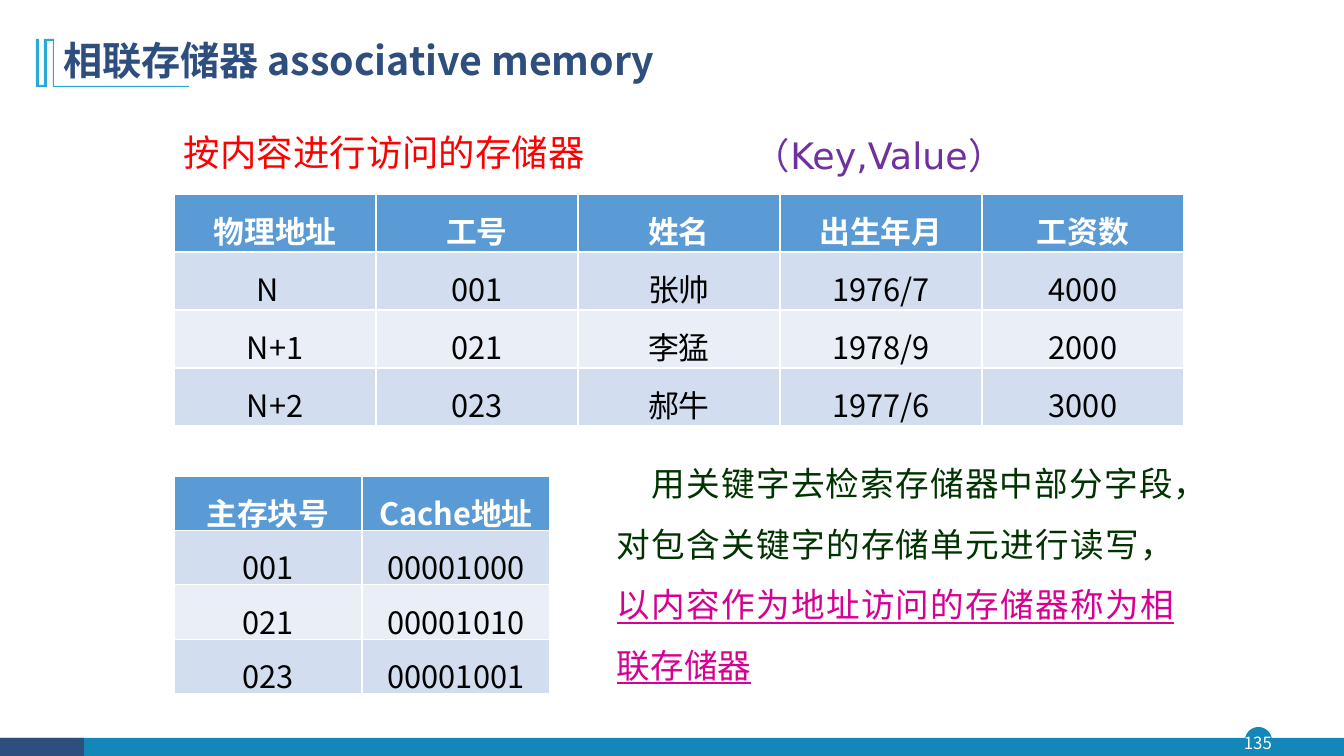
"""Build the slide on associative memory with its two lookup tables."""
from lxml.etree import SubElement
from pptx import Presentation
from pptx.dml.color import RGBColor
from pptx.enum.shapes import MSO_SHAPE as SHAPE
from pptx.enum.text import MSO_ANCHOR as ANCHOR, MSO_AUTO_SIZE as AUTO_SIZE, PP_ALIGN as ALIGN
from pptx.oxml.ns import qn
from pptx.util import Emu, Pt

SCALE = 914400 / 100.8
CJK = "Noto Sans CJK SC"
LATIN = "DejaVu Sans"
COLORS = {
    "teal": "1387B7", "navy": "2E4E7E", "sky": "28A9D6", "white": "FFFFFF",
    "black": "000000", "red": "FF0000", "purple": "7030A0", "green": "003300",
    "magenta": "D60093", "header": "5B9BD5", "odd": "D2DEEF", "even": "EAEFF7",
}


def px(*lengths):
    return [Emu(round(length * SCALE)) for length in lengths]


def write(para, words, size, color, face=CJK, spacing=1.0, align=ALIGN.LEFT, bold=False):
    para.alignment = align
    para.line_spacing = spacing
    span = para.add_run()
    span.text = words
    font = span.font
    font.size, font.name, font.bold = Pt(size), face, bold
    font.color.rgb = RGBColor.from_string(COLORS[color])
    SubElement(font._element, qn("a:ea"), typeface=face)
    return span


deck = Presentation()
deck.slide_width, deck.slide_height = px(1344, 756)
page = deck.slides.add_slide(deck.slide_layouts[5])
shapes = page.shapes

for kind, area, color in [
    (SHAPE.OVAL, (1245, 727, 27, 27), "teal"),
    (SHAPE.RECTANGLE, (0, 738, 1344, 18), "teal"),
    (SHAPE.RECTANGLE, (0, 738, 84, 18), "navy"),
]:
    mark = shapes.add_shape(kind, *px(*area))
    mark.shadow.inherit = False
    mark.fill.solid()
    mark.fill.fore_color.rgb = RGBColor.from_string(COLORS[color])
    mark.line.fill.background()

outline = [
    (54, 86), (189, 86), (189, 87), (53, 87), (53, 41), (47, 41), (47, 87),
    (36, 87), (36, 39), (39, 39), (39, 85), (44, 85), (44, 39),
]
builder = shapes.build_freeform(54, 39, scale=SCALE)
builder.add_line_segments(outline, close=True)
ornament = builder.convert_to_shape()
ornament.shadow.inherit = False
ornament.fill.solid()
ornament.fill.fore_color.rgb = RGBColor.from_string(COLORS["sky"])
ornament.line.fill.background()

title = shapes.title
title.left, title.top, title.width, title.height = px(53, 28, 1159, 69)
title.text_frame.vertical_anchor = ANCHOR.MIDDLE
title.text_frame.auto_size = AUTO_SIZE.NONE
write(title.text_frame.paragraphs[0], "相联存储器 associative memory", 28, "navy",
      spacing=0.9, bold=True)

paras = {}
for name, area in {
    "number": (1242, 727, 32, 31),
    "subtitle": (174, 130, 865, 68),
    "pair": (744, 119, 359, 68),
    "definition": (607, 438, 577, 254),
}.items():
    box = shapes.add_textbox(*px(*area))
    box.text_frame.word_wrap = True
    paras[name] = box.text_frame.paragraphs[0]
    if name == "number":
        frame = box.text_frame
        frame.vertical_anchor = ANCHOR.MIDDLE
        frame.margin_left = frame.margin_right = frame.margin_top = frame.margin_bottom = 0

write(paras["number"], "135", 12, "white", align=ALIGN.CENTER)
write(paras["subtitle"], "按内容进行访问的存储器", 26, "red", spacing=0.9)
write(paras["pair"], "（Key,Value）", 26, "purple", LATIN, spacing=1.2)
for words, color in [
    ("用关键字去检索存储器中部分字段，对包含关键字的存储单元进行读写，", "green"),
    ("以内容作为地址访问的存储器称为相联存储器", "magenta"),
]:
    span = write(paras["definition"], words, 24, color, spacing=1.5, align=ALIGN.JUSTIFY)
    span.font.underline = color == "magenta"
paras["definition"]._p.get_or_add_pPr().set("indent", str(px(35)[0]))

staff = [
    ["物理地址", "工号", "姓名", "出生年月", "工资数"],
    ["N", "001", "张帅", "1976/7", "4000"],
    ["N+1", "021", "李猛", "1978/9", "2000"],
    ["N+2", "023", "郝牛", "1977/6", "3000"],
]
cache = [
    ["主存块号", "Cache地址"],
    ["001", "00001000"],
    ["021", "00001010"],
    ["023", "00001001"],
]
for records, top, column_width, row_height in [(staff, 194, 202, 58), (cache, 476, 188, 52)]:
    rows, columns = len(records), len(records[0])
    area = px(174, top, columns * column_width, rows * row_height)
    table = shapes.add_table(rows, columns, *area).table
    for column in table.columns:
        column.width = px(column_width)[0]
    for r, record in enumerate(records):
        table.rows[r].height = px(row_height)[0]
        shade = "header" if r == 0 else "odd" if r % 2 else "even"
        for c, words in enumerate(record):
            cell = table.cell(r, c)
            cell.fill.solid()
            cell.fill.fore_color.rgb = RGBColor.from_string(COLORS[shade])
            if words == "N":
                cell.margin_right = px(25)[0]
            write(cell.text_frame.paragraphs[0], words, 22, "black" if r else "white",
                  spacing=1.2, align=ALIGN.CENTER, bold=r == 0)

deck.save("out.pptx")
